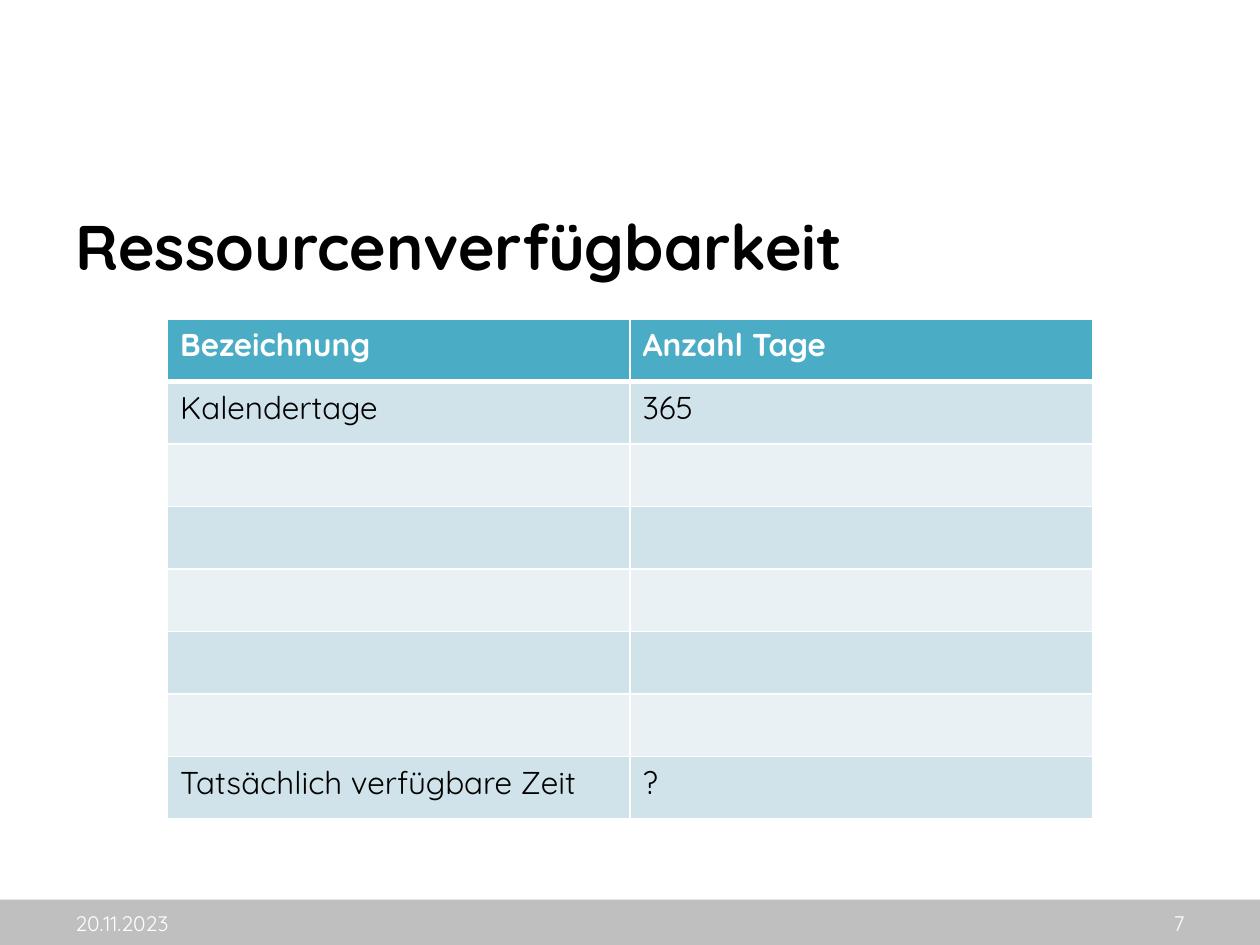
import dataclasses

import lxml.etree
import pptx
import pptx.dml.color
import pptx.enum.shapes
import pptx.enum.text
import pptx.oxml.ns
import pptx.util

ALIGN = pptx.enum.text.PP_ALIGN
ANCHOR = pptx.enum.text.MSO_ANCHOR


@dataclasses.dataclass(frozen=True)
class Theme:
    font: str = "Quicksand"
    black: str = "000000"
    white: str = "FFFFFF"
    footer_bar: str = "BFBFBF"
    header_fill: str = "4BACC6"
    band_fills: tuple = ("D0E3EA", "E9F1F5")
    title_size: int = 36
    table_size: int = 18
    footer_size: int = 12
    thin_rule: int = 1
    thick_rule: int = 3


@dataclasses.dataclass(frozen=True)
class Box:
    """A rectangle in inches."""
    left: float
    top: float
    width: float
    height: float

    def lengths(self):
        return [pptx.util.Inches(value) for value in dataclasses.astuple(self)]


THEME = Theme()
WIDTH, HEIGHT = 10, 7.5
MARGIN = 0.05 * WIDTH


def color(code):
    return pptx.dml.color.RGBColor.from_string(code)


def write_text(frame, text, size, ink=THEME.black, bold=False, align=ALIGN.LEFT):
    paragraph = frame.paragraphs[0]
    paragraph.alignment = align
    # An empty paragraph still needs its type size to keep the row height
    paragraph.font.size = pptx.util.Pt(size)
    if text:
        run = paragraph.add_run()
        run.text = text
        run.font.name = THEME.font
        run.font.size = pptx.util.Pt(size)
        run.font.bold = bold
        run.font.color.rgb = color(ink)


def add_text(slide, box, text, **text_format):
    frame = slide.shapes.add_textbox(*box.lengths()).text_frame
    frame.word_wrap = True
    frame.vertical_anchor = ANCHOR.MIDDLE
    write_text(frame, text, **text_format)


def set_borders(cell, bottom):
    """Draw white rules on all four sides, ahead of the cell fill."""
    properties = cell._tc.get_or_add_tcPr()
    rules = {"lnL": THEME.thin_rule, "lnR": THEME.thin_rule,
             "lnT": THEME.thin_rule, "lnB": bottom}
    for position, (side, weight) in enumerate(rules.items()):
        line = lxml.etree.Element(pptx.oxml.ns.qn(f"a:{side}"),
                                  w=str(pptx.util.Pt(weight)))
        fill = lxml.etree.SubElement(line, pptx.oxml.ns.qn("a:solidFill"))
        lxml.etree.SubElement(fill, pptx.oxml.ns.qn("a:srgbClr"), val=THEME.white)
        properties.insert(position, line)


def build_table(slide, box, rows):
    shape = slide.shapes.add_table(len(rows), len(rows[0]), *box.lengths())
    for row_index, row in enumerate(rows):
        is_header = row_index == 0
        fill = THEME.header_fill if is_header else THEME.band_fills[(row_index - 1) % 2]
        for column_index, text in enumerate(row):
            cell = shape.table.cell(row_index, column_index)
            cell.fill.solid()
            cell.fill.fore_color.rgb = color(fill)
            set_borders(cell, THEME.thick_rule if is_header else THEME.thin_rule)
            write_text(cell.text_frame, text, size=THEME.table_size, bold=is_header,
                       ink=THEME.white if is_header else THEME.black)


def build_footer(slide, box, date, number):
    # Grey bar
    bar = slide.shapes.add_shape(pptx.enum.shapes.MSO_SHAPE.RECTANGLE, *box.lengths())
    bar.shadow.inherit = False
    bar.fill.solid()
    bar.fill.fore_color.rgb = color(THEME.footer_bar)
    bar.line.fill.background()

    # Date at the left margin, slide number at the right margin
    field_width = 0.233 * box.width
    right_field = box.left + box.width - MARGIN - field_width
    for left, text, align in ((box.left + MARGIN, date, ALIGN.LEFT),
                              (right_field, number, ALIGN.RIGHT)):
        add_text(slide, Box(left, box.top - 0.01, field_width, 0.4), text,
                 size=THEME.footer_size, ink=THEME.white, align=align)


def main():
    presentation = pptx.Presentation()
    presentation.slide_width = pptx.util.Inches(WIDTH)
    presentation.slide_height = pptx.util.Inches(HEIGHT)
    slide = presentation.slides.add_slide(presentation.slide_layouts[6])

    # Footer
    build_footer(slide, Box(0, 7.14, WIDTH, HEIGHT - 7.14), "20.11.2023", "7")

    # Title
    add_text(slide, Box(MARGIN, 1.32, WIDTH - 2 * MARGIN, HEIGHT / 6),
             "Ressourcenverfügbarkeit", size=THEME.title_size, bold=True)

    # Availability table, with blank rows left to fill in
    rows = [("Bezeichnung", "Anzahl Tage"), ("Kalendertage", "365"),
            *[("", "")] * 5, ("Tatsächlich verfügbare Zeit", "?")]
    build_table(slide, Box(1.33, 2.53, 7.34, 3.97), rows)

    presentation.save("out.pptx")


if __name__ == "__main__":
    main()
